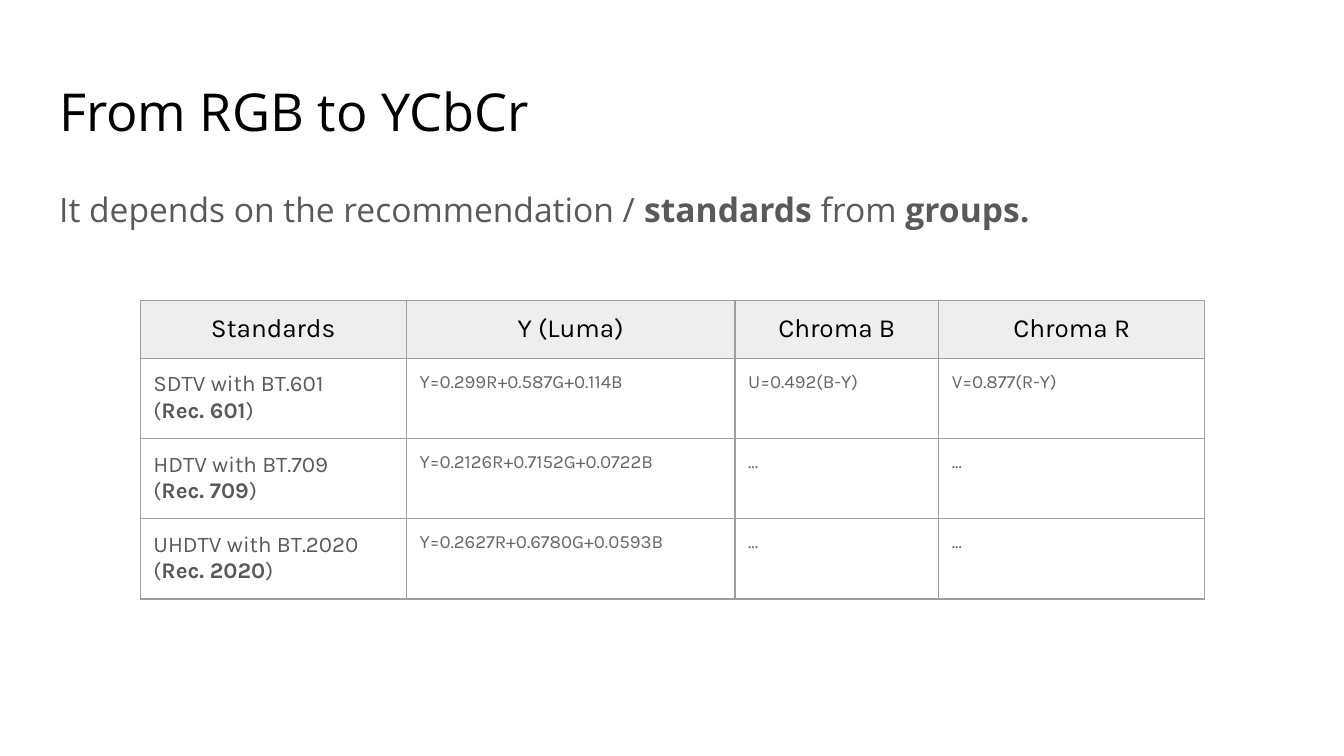
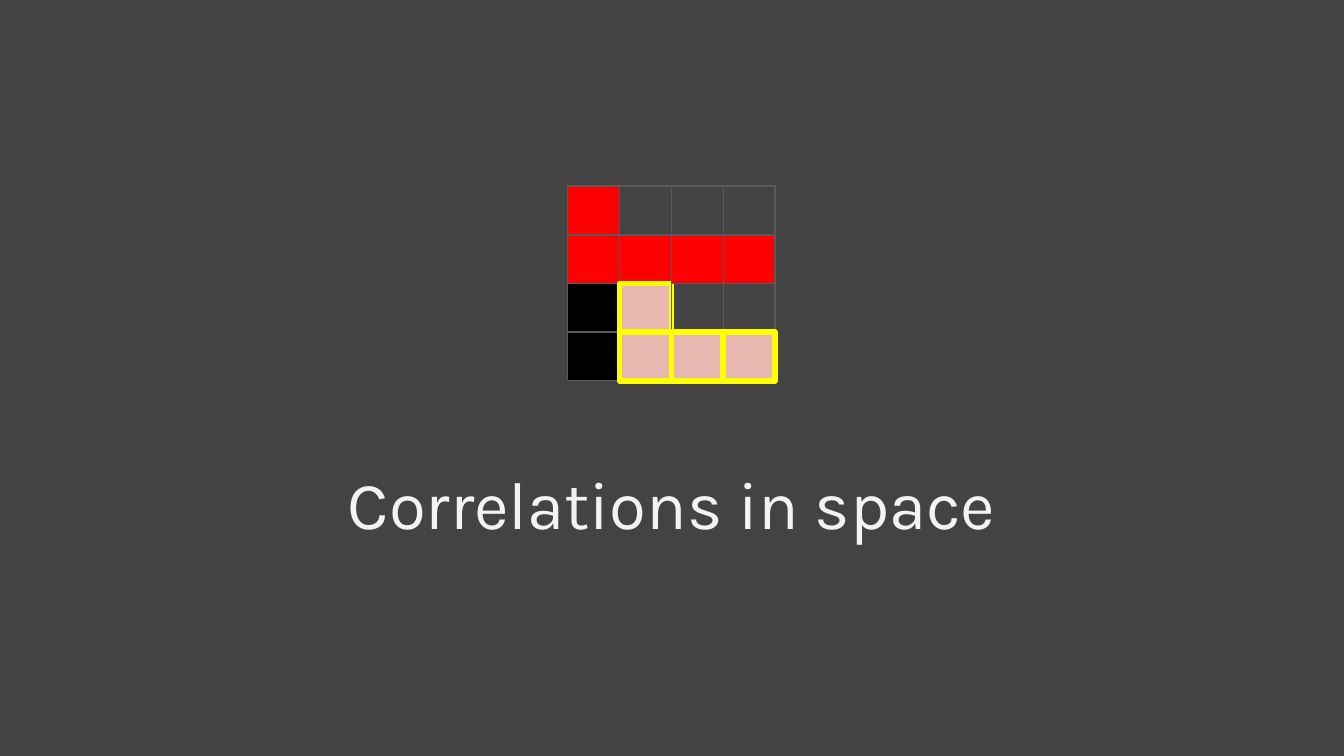
from lxml.etree import SubElement
from pptx import Presentation
from pptx.dml.color import RGBColor
from pptx.enum.shapes import MSO_SHAPE
from pptx.enum.text import MSO_ANCHOR, PP_ALIGN
from pptx.oxml.ns import qn
from pptx.util import Cm, Pt

WHITE, BLACK, DARK, LIGHT = "FFFFFF", "000000", "434343", "F3F3F3"
GREY, FORMULA_GREY, BORDER, HEADER = "595959", "666666", "9E9E9E", "EEEEEE"
RED, PINK, YELLOW = "FF0000", "E6B8AF", "FFFF00"
INSET = Cm(0.25)


def rgb(color):
    return RGBColor.from_string(color)


class Deck:
    title_font, text_font = "Open Sans", "Karla"

    def __init__(self):
        self.prs = Presentation()
        self.prs.slide_width, self.prs.slide_height = Cm(25.4), Cm(14.29)

    def slide(self, background):
        self.s = self.prs.slides.add_slide(self.prs.slide_layouts[6])
        fill = self.s.background.fill
        fill.solid()
        fill.fore_color.rgb = rgb(background)

    def add_runs(self, tf, paragraphs, size, color, font, align=PP_ALIGN.LEFT):
        """Fill tf with paragraphs, each a list of (text, bold) runs."""
        for i, runs in enumerate(paragraphs):
            p = tf.add_paragraph() if i else tf.paragraphs[0]
            p.alignment = align
            for text, bold in runs:
                r = p.add_run()
                r.text = text
                r.font.size, r.font.name, r.font.bold = Pt(size), font, bold
                r.font.color.rgb = rgb(color)

    def text(self, box, runs, size, color, font, align=PP_ALIGN.LEFT,
             anchor=MSO_ANCHOR.TOP):
        tf = self.s.shapes.add_textbox(*map(Cm, box)).text_frame
        tf.word_wrap = True
        tf.vertical_anchor = anchor
        tf.margin_left = tf.margin_right = INSET
        tf.margin_top = tf.margin_bottom = INSET
        self.add_runs(tf, [runs], size, color, font, align)
        return tf.paragraphs[0]

    def title(self, text):
        self.text((0.87, 1.24, 23.67, 1.6), [(text, False)], 28, BLACK,
                  self.title_font)

    def body(self, runs):
        p = self.text((0.87, 3.2, 23.67, 1.6), runs, 18, GREY, self.title_font)
        p.line_spacing, p.space_after = 1.15, Pt(16)

    def table(self, left, top, widths, row_height, rows, styles, fill=None,
              align=PP_ALIGN.LEFT):
        """Add a bordered table; styles gives (size, color) per column."""
        frame = self.s.shapes.add_table(
            len(rows), len(widths), Cm(left), Cm(top), Cm(sum(widths)),
            Cm(row_height * len(rows)))
        table = frame.table
        table.first_row = table.horz_banding = False
        for column, width in zip(table.columns, widths):
            column.width = Cm(width)
        for i, row in enumerate(rows):
            for j, (paragraphs, (size, color)) in enumerate(zip(row, styles)):
                cell = table.cell(i, j)
                cell.margin_left = cell.margin_right = INSET
                cell.margin_top = cell.margin_bottom = INSET
                self.add_runs(cell.text_frame, paragraphs, size, color,
                              self.text_font, align)
                if fill:
                    cell.fill.solid()
                    cell.fill.fore_color.rgb = rgb(fill)
                else:
                    cell.fill.background()
                self.borders(cell)

    def borders(self, cell):
        tc_pr = cell._tc.get_or_add_tcPr()
        for i, side in enumerate(("lnL", "lnR", "lnT", "lnB")):
            ln = SubElement(tc_pr, qn("a:" + side), w=str(Pt(0.75)))
            solid = SubElement(ln, qn("a:solidFill"))
            SubElement(solid, qn("a:srgbClr"), val=BORDER)
            tc_pr.insert(i, ln)

    def square(self, group, box, fill, line, width):
        sp = group.shapes.add_shape(MSO_SHAPE.RECTANGLE, *map(Cm, box))
        sp.shadow.inherit = False
        if fill:
            sp.fill.solid()
            sp.fill.fore_color.rgb = rgb(fill)
        else:
            sp.fill.background()
        sp.line.color.rgb = rgb(line)
        sp.line.width = Pt(width)

    def pixel_grid(self, left, top, width, height, pixels, styles):
        """Draw the left half of the grid, then the right half over it."""
        group = self.s.shapes.add_group_shape()
        half = len(pixels[0]) // 2
        for start in (0, half):
            for i, row in enumerate(pixels):
                for j in range(start, start + half):
                    box = (left + j * width, top + i * height, width, height)
                    self.square(group, box, *styles[row[j]])


def plain(text):
    return [[(text, False)]]


def standard(name, rec):
    return [[(name, False)], [("(", False), (rec, True), (")", False)]]


def ycbcr_slide(deck):
    deck.slide(WHITE)
    deck.title("From RGB to YCbCr")
    deck.body([("It depends on the recommendation / ", False),
               ("standards", True), (" from ", False), ("groups.", True)])
    left, widths, row_height = 2.65, (5.03, 6.21, 3.85, 5.03), 1.07
    standards = [
        ("SDTV with BT.601", "Rec. 601", "Y=0.299R+0.587G+0.114B",
         "U=0.492(B-Y)", "V=0.877(R-Y)"),
        ("HDTV with BT.709", "Rec. 709", "Y=0.2126R+0.7152G+0.0722B",
         "...", "..."),
        ("UHDTV with BT.2020", "Rec. 2020", "Y=0.2627R+0.6780G+0.0593B",
         "...", "..."),
    ]
    rows = [[standard(name, rec), *map(plain, formulas)]
            for name, rec, *formulas in standards]
    deck.table(left, 6.77, widths, row_height, rows,
               [(12, GREY)] + [(10, FORMULA_GREY)] * 3)
    headings = ("Standards", "Y (Luma)", "Chroma B", "Chroma R")
    deck.table(left, 5.68, widths, row_height, [list(map(plain, headings))],
               [(14, BLACK)] * 4, HEADER, PP_ALIGN.CENTER)


def space_slide(deck):
    deck.slide(DARK)
    deck.text((1.05, 5.44, 23.3, 8.13), [("Correlations in space", False)], 36,
              LIGHT, deck.text_font, PP_ALIGN.CENTER, MSO_ANCHOR.MIDDLE)
    styles = {"R": (RED, GREY, 0.75), "K": (BLACK, GREY, 0.75),
              ".": (None, GREY, 0.75), "P": (PINK, YELLOW, 3)}
    deck.pixel_grid(10.73, 3.52, 0.98, 0.92,
                    ("R...", "RRRR", "KP..", "KPPP"), styles)


def main():
    deck = Deck()
    ycbcr_slide(deck)
    space_slide(deck)
    deck.prs.save("out.pptx")


if __name__ == "__main__":
    main()
